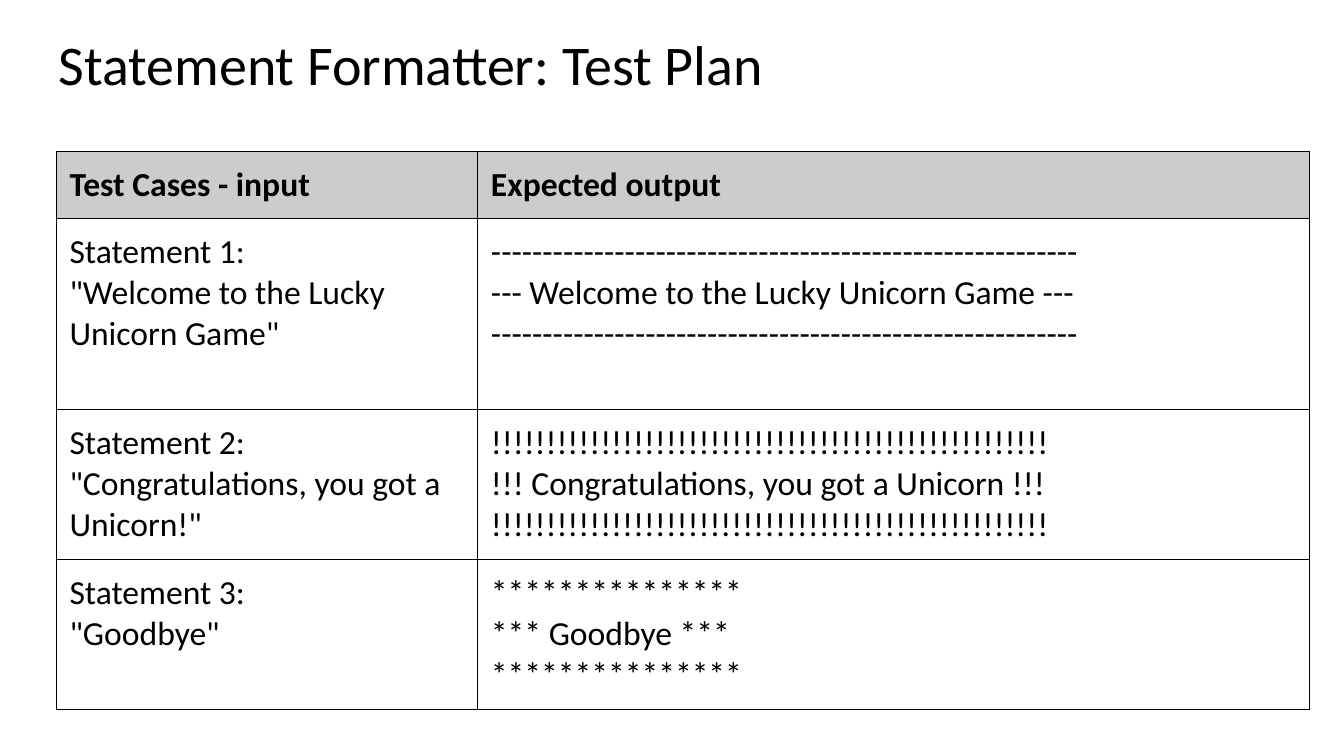
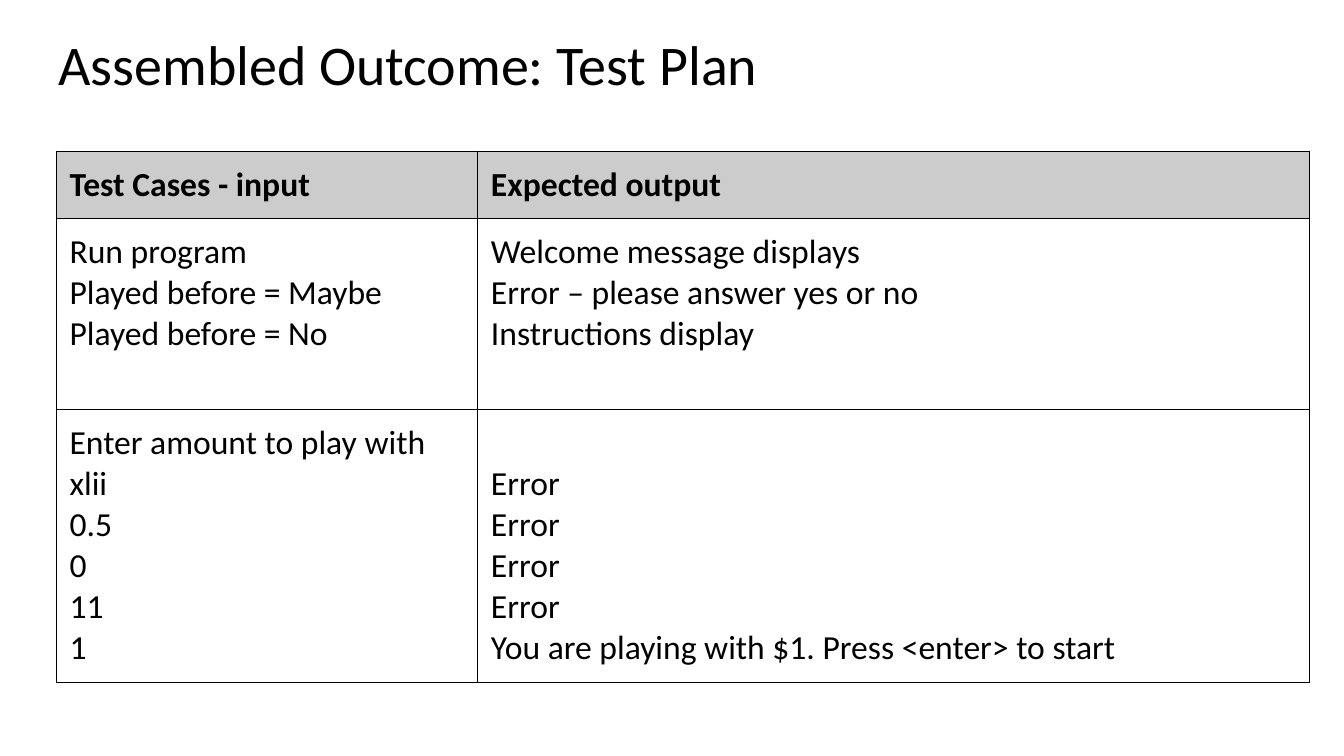
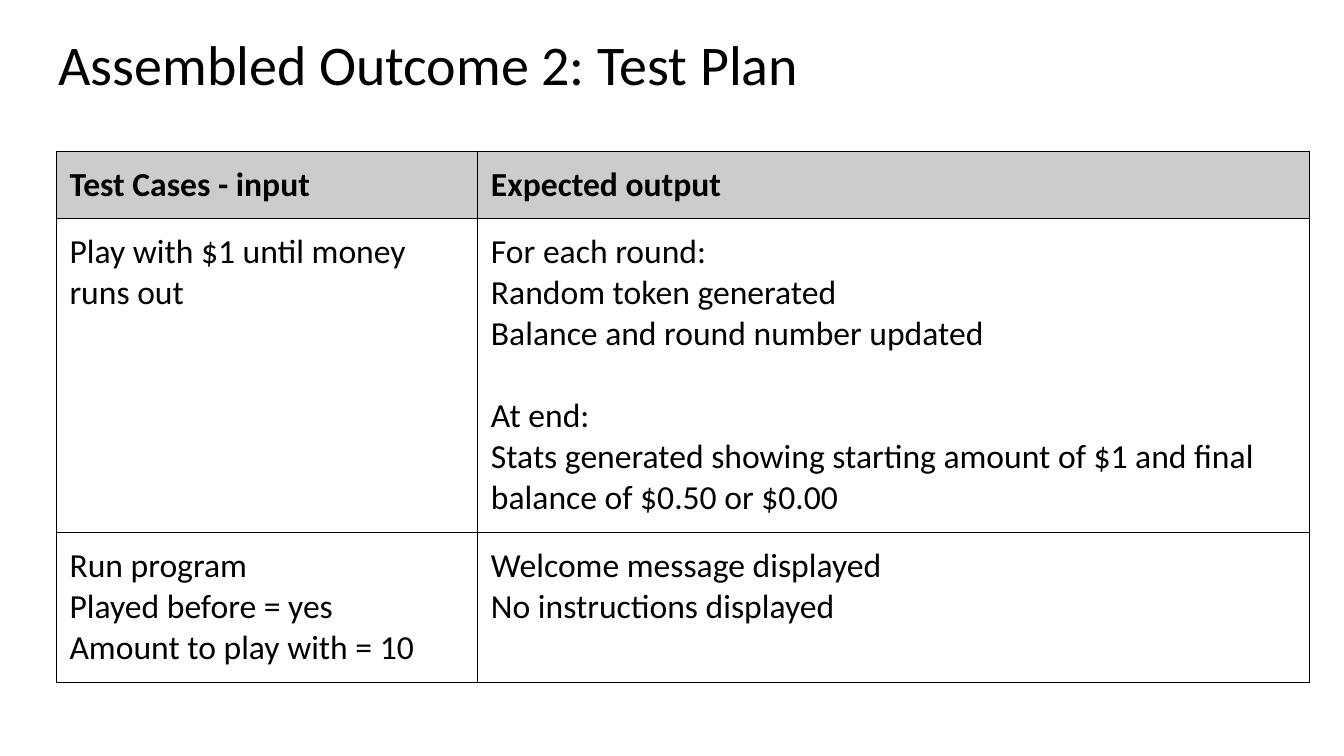
"""Build three test plan slides, each with a title and a two-column table."""
from pptx import Presentation, util as u
from pptx.dml.color import RGBColor
from pptx.enum import text
from pptx.oxml import parse_xml
from pptx.oxml.ns import nsdecls

FONT, INK, HEADER_FILL = "Calibri", "000000", "CCCCCC"
INSET, LINE_HEIGHT = u.Inches(0.13), u.Pt(29.3)
COLUMNS = (4.18, 8.25)
HEADER = (0.67, ["Test Cases - input"], ["Expected output"])

DASHES, BANGS, STARS = "-" * 57, "!" * 51, "*" * 15
PLANS = [
    ("Statement Formatter: Test Plan", [
        (1.89, ["Statement 1:", '"Welcome to the Lucky Unicorn Game"'],
         [DASHES, "--- Welcome to the Lucky Unicorn Game ---", DASHES]),
        (1.49, ["Statement 2:", '"Congratulations, you got a Unicorn!"'],
         [BANGS, "!!! Congratulations, you got a Unicorn !!!", BANGS]),
        (1.49, ["Statement 3:", '"Goodbye"'],
         [STARS, "*** Goodbye ***", STARS]),
    ]),
    ("Assembled Outcome: Test Plan", [
        (1.89, ["Run program", "Played before = Maybe", "Played before = No"],
         ["Welcome message displays", "Error – please answer yes or no",
          "Instructions display"]),
        (2.71, ["Enter amount to play with", "xlii", "0.5", "0", "11", "1"],
         ["", "Error", "Error", "Error", "Error",
          "You are playing with $1. Press <enter> to start"]),
    ]),
    ("Assembled Outcome 2: Test Plan", [
        (3.11, ["Play with $1 until money runs out"],
         ["For each round:", "Random token generated",
          "Balance and round number updated", "", "At end:",
          "Stats generated showing starting amount of $1 and final balance "
          "of $0.50 or $0.00"]),
        (1.49, ["Run program", "Played before = yes", "Amount to play with = 10"],
         ["Welcome message displayed", "No instructions displayed"]),
    ]),
]


def add_run(p, words, size, bold=False, color=INK):
    r = p.add_run()
    r.text = words
    r.font.name, r.font.size, r.font.bold = FONT, u.Pt(size), bold
    r.font.color.rgb = RGBColor.from_string(color)


def fill_cell(cell, lines, header):
    tcPr = cell._tc.get_or_add_tcPr()
    for side in ("lnL", "lnR", "lnT", "lnB"):
        tcPr.append(parse_xml(
            f'<a:{side} {nsdecls("a")} w="12700"><a:solidFill>'
            f'<a:srgbClr val="{INK}"/></a:solidFill></a:{side}>'))
    if header:
        cell.fill.solid()
        cell.fill.fore_color.rgb = RGBColor.from_string(HEADER_FILL)
    else:
        cell.fill.background()
    cell.margin_left = cell.margin_right = INSET
    cell.margin_top = cell.margin_bottom = INSET
    cell.vertical_anchor = text.MSO_ANCHOR.TOP
    tf = cell.text_frame
    p, gap = None, 0
    for line in lines:
        if not line:
            gap += LINE_HEIGHT
            continue
        if p is None:
            p = tf.paragraphs[0]
            cell.margin_top = INSET + gap
        else:
            p = tf.add_paragraph()
            p.space_before = u.Emu(gap)
        add_run(p, line, 24, bold=header)
        gap = 0


prs = Presentation()
prs.slide_width, prs.slide_height = u.Inches(13.33), u.Inches(7.5)

for title, cases in PLANS:
    s = prs.slides.add_slide(prs.slide_layouts[6])

    sp = s.shapes.add_textbox(u.Inches(0.45), u.Inches(0.24),
                              u.Inches(12.42), u.Inches(0.84))
    tf = sp.text_frame
    tf.word_wrap = True
    tf.vertical_anchor = text.MSO_ANCHOR.TOP
    tf.margin_left = tf.margin_right = INSET
    tf.margin_top = tf.margin_bottom = INSET
    p = tf.paragraphs[0]
    p.line_spacing = 0.9
    add_run(p, title, 40)

    rows = [HEADER] + cases
    height = sum(row[0] for row in rows)
    table = s.shapes.add_table(len(rows), len(COLUMNS), u.Inches(0.56), u.Inches(1.5),
                               u.Inches(sum(COLUMNS)), u.Inches(height)).table
    table.horz_banding = False
    for column, width in zip(table.columns, COLUMNS):
        column.width = u.Inches(width)
    for i, (row_height, *cells) in enumerate(rows):
        table.rows[i].height = u.Inches(row_height)
        for j, lines in enumerate(cells):
            fill_cell(table.cell(i, j), lines, header=i == 0)

prs.save("out.pptx")
